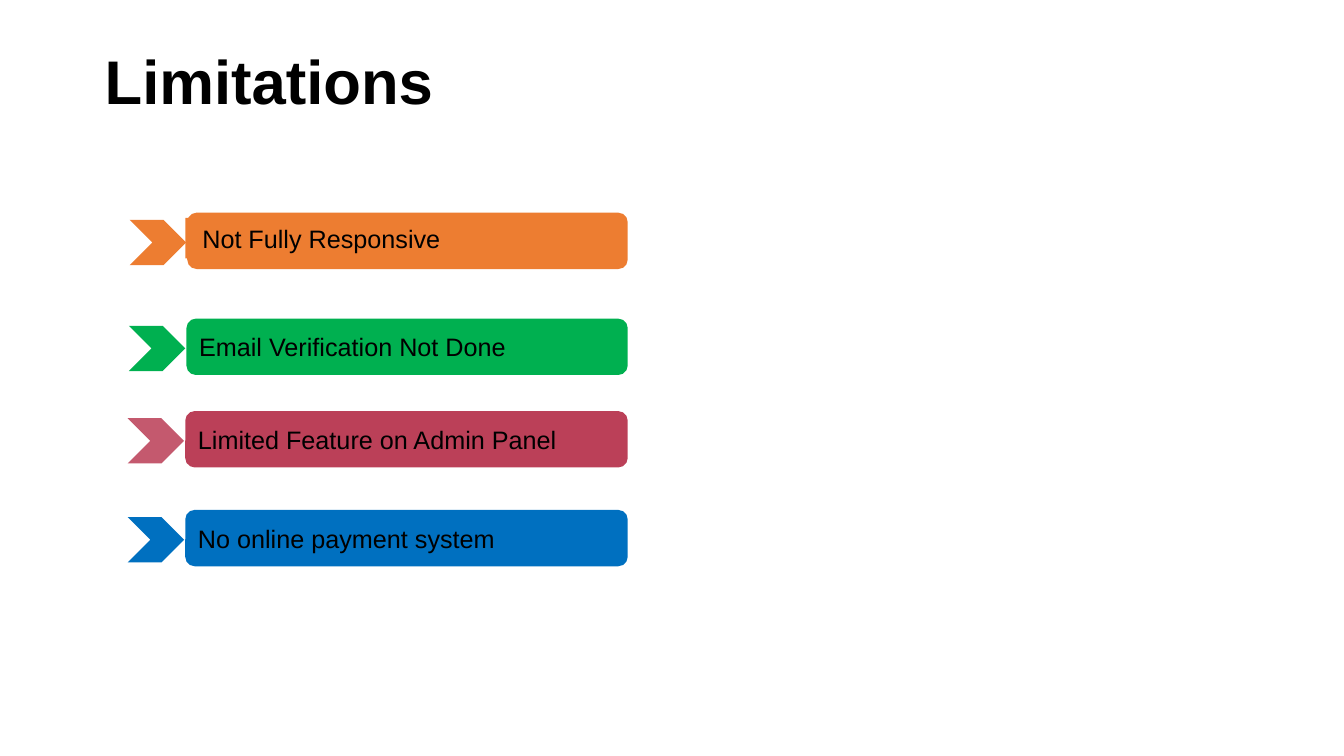
import dataclasses

import lxml.etree
import pptx
import pptx.dml.color
import pptx.enum.shapes
import pptx.enum.text
import pptx.oxml.ns
import pptx.util

Cm = pptx.util.Cm
RGBColor = pptx.dml.color.RGBColor
Preset = pptx.enum.shapes.MSO_SHAPE
Anchor = pptx.enum.text.MSO_ANCHOR

BLACK = RGBColor(0x00, 0x00, 0x00)
ORANGE = RGBColor(0xED, 0x7D, 0x31)
GREEN = RGBColor(0x00, 0xB0, 0x50)
CRIMSON = RGBColor(0xA5, 0x00, 0x21)
BLUE = RGBColor(0x00, 0x70, 0xC0)

BAR_RIGHT = 15.82
BAR_HEIGHT = 1.42
CHEVRON_WIDTH = 1.42
CHEVRON_HEIGHT = 1.14
CHEVRON_SHIFT = 1.45
CHEVRON_DROP = 0.18


@dataclasses.dataclass(frozen=True)
class Limitation:
    text: str
    left: float
    top: float
    color: RGBColor
    bar_opacity: int = 100
    chevron_opacity: int = 100
    separate_caption: bool = False


LIMITATIONS = [
    Limitation("Not Fully Responsive", 4.72, 5.36, ORANGE, separate_caption=True),
    Limitation("Email Verification Not Done", 4.7, 8.03, GREEN),
    Limitation("Limited Feature on Admin Panel", 4.67, 10.36, CRIMSON, 75, 65),
    Limitation("No online payment system", 4.67, 12.85, BLUE),
]


def write_text(box, text: str, *, size: float = 18, bold: bool = False,
               anchor=Anchor.MIDDLE, left_inset: float = 0.25,
               vertical_inset: float = 0.13, line_spacing: float = 1.0) -> None:
    frame = box.text_frame
    frame.word_wrap = True
    frame.vertical_anchor = anchor
    frame.margin_left = Cm(left_inset)
    frame.margin_right = Cm(0.25)
    frame.margin_top = frame.margin_bottom = Cm(vertical_inset)
    para = frame.paragraphs[0]
    para.alignment = pptx.enum.text.PP_ALIGN.LEFT
    para.line_spacing = line_spacing
    span = para.add_run()
    span.text = text
    span.font.name = "Arial"
    span.font.size = pptx.util.Pt(size)
    span.font.bold = bold
    span.font.color.rgb = BLACK


def add_block(group, preset, left: float, top: float, width: float,
              height: float, color: RGBColor, opacity: int = 100):
    shape = group.shapes.add_shape(preset, Cm(left), Cm(top), Cm(width), Cm(height))
    shape.shadow.inherit = False
    shape.fill.solid()
    shape.fill.fore_color.rgb = color
    shape.line.fill.background()
    if opacity < 100:
        tint = shape.fill._xPr.find(".//" + pptx.oxml.ns.qn("a:srgbClr"))
        alpha = lxml.etree.SubElement(tint, pptx.oxml.ns.qn("a:alpha"))
        alpha.set("val", str(opacity * 1000))
    return shape


def add_limitation(page, item: Limitation) -> None:
    group = page.shapes.add_group_shape()
    bar = add_block(group, Preset.ROUNDED_RECTANGLE, item.left, item.top,
                    BAR_RIGHT - item.left, BAR_HEIGHT, item.color, item.bar_opacity)
    if item.separate_caption:
        caption = add_block(group, Preset.RECTANGLE, item.left - 0.05,
                            item.top + 0.13, 8.08, 1.02, item.color)
        write_text(caption, item.text, anchor=Anchor.TOP, left_inset=0.43)
    else:
        write_text(bar, item.text)
    add_block(group, Preset.CHEVRON, item.left - CHEVRON_SHIFT,
              item.top + CHEVRON_DROP, CHEVRON_WIDTH, CHEVRON_HEIGHT,
              item.color, item.chevron_opacity)


def main() -> None:
    deck = pptx.Presentation()
    deck.slide_width = Cm(33.87)
    deck.slide_height = Cm(19.05)
    page = deck.slides.add_slide(deck.slide_layouts[6])
    title = page.shapes.add_textbox(Cm(2.39), Cm(0.99), Cm(20.65), Cm(2.29))
    write_text(title, "Limitations", size=44, bold=True,
               vertical_inset=0.25, line_spacing=0.9)
    for item in LIMITATIONS:
        add_limitation(page, item)
    deck.save("out.pptx")


if __name__ == "__main__":
    main()
